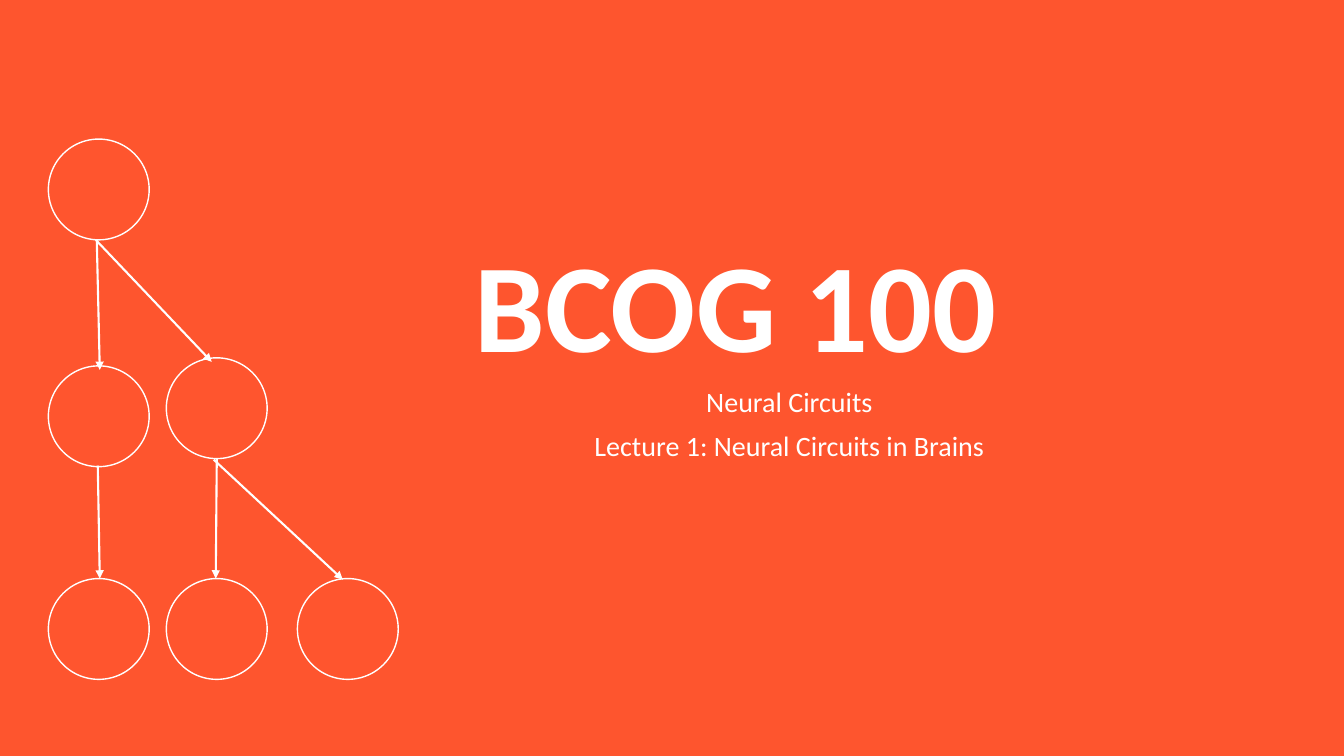
import pptx
import pptx.util
import pptx.dml.color
import pptx.enum.shapes
import pptx.enum.text
import pptx.oxml.ns
from lxml import etree

Inches, Pt = pptx.util.Inches, pptx.util.Pt
RGBColor = pptx.dml.color.RGBColor
ORANGE = RGBColor(0xFE, 0x55, 0x2E)
CORAL = RGBColor(0xFF, 0x55, 0x2E)
WHITE = RGBColor(0xFF, 0xFF, 0xFF)

deck = pptx.Presentation()
deck.slide_width, deck.slide_height = Inches(13.33), Inches(7.5)
slide = deck.slides.add_slide(deck.slide_layouts[6])
slide.background.fill.solid()
slide.background.fill.fore_color.rgb = ORANGE


def add_text(place, lines, anchor, style):
    box = slide.shapes.add_textbox(*map(Inches, place))
    frame = box.text_frame
    frame.word_wrap = True
    frame.vertical_anchor = anchor
    frame.text = "\n".join(lines)
    for i, para in enumerate(frame.paragraphs):
        para.alignment = pptx.enum.text.PP_ALIGN.CENTER
        para.line_spacing = 0.9
        para.space_before = Pt(10 if i else 0)
        font = para.runs[0].font
        font.color.rgb = WHITE
        for key, value in style.items():
            setattr(font, key, value)


# Title and subtitle
add_text((4.05, 0.85, 6.49, 2.97), ["BCOG 100"],
         pptx.enum.text.MSO_ANCHOR.BOTTOM,
         {"name": "Calibri", "size": Pt(90), "bold": True})
add_text((3.3, 3.8, 9.06, 1.81),
         ["Neural Circuits", "Lecture 1: Neural Circuits in Brains"],
         pptx.enum.text.MSO_ANCHOR.TOP,
         {"name": "Calibri", "size": Pt(20)})

# Neurons: left and top of each circle
cells = [(0.48, 1.38), (1.65, 3.55), (0.48, 3.63),
         (0.48, 5.74), (1.65, 5.74), (2.95, 5.74)]
for left, top in cells:
    cell = slide.shapes.add_shape(
        pptx.enum.shapes.MSO_SHAPE.OVAL,
        Inches(left), Inches(top), Inches(1), Inches(1))
    cell.shadow.inherit = False
    cell.fill.solid()
    cell.fill.fore_color.rgb = CORAL
    cell.line.color.rgb = WHITE
    cell.line.width = Pt(1)

# Axons: start and end of each arrow
axons = [(0.95, 2.38, 2.1, 3.59), (0.96, 2.38, 0.99, 3.67),
         (2.12, 4.56, 3.4, 5.75), (2.15, 4.55, 2.14, 5.74),
         (0.97, 4.62, 0.99, 5.74)]
for ends in axons:
    axon = slide.shapes.add_connector(
        pptx.enum.shapes.MSO_CONNECTOR.STRAIGHT, *map(Inches, ends))
    axon.line.color.rgb = WHITE
    axon.line.width = Pt(1.5)
    props = axon.element.spPr
    qn = pptx.oxml.ns.qn
    etree.SubElement(props.find(qn("a:ln")), qn("a:tailEnd"), type="triangle")
    etree.SubElement(props, qn("a:effectLst"))

deck.save("out.pptx")
